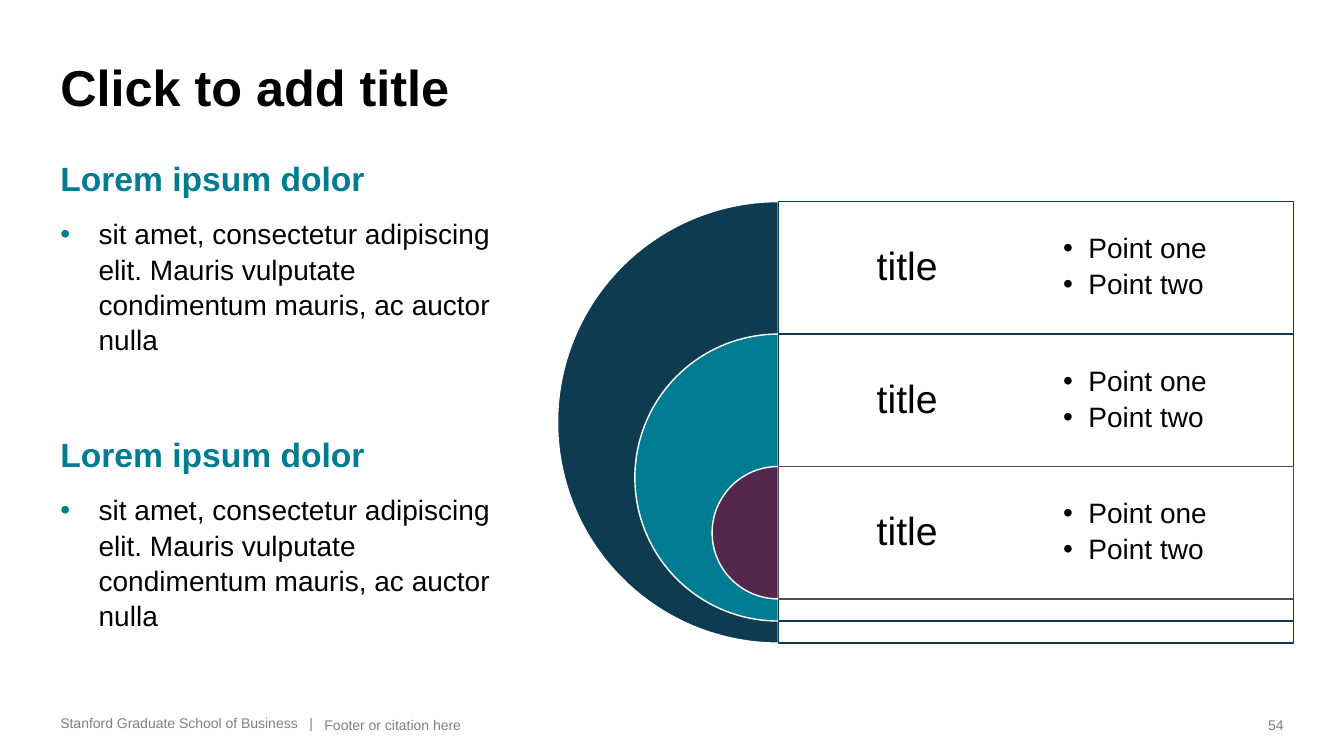
from lxml import etree
from pptx import Presentation
from pptx.dml.color import RGBColor
from pptx.enum.shapes import MSO_SHAPE as Shape
from pptx.enum.text import MSO_ANCHOR as Anchor, PP_ALIGN as Align
from pptx.oxml.ns import qn
from pptx.util import Inches, Pt

WHITE = RGBColor(0xFF, 0xFF, 0xFF)
BLACK = RGBColor(0x00, 0x00, 0x00)
GRAY = RGBColor(0x80, 0x80, 0x80)
CHARCOAL = RGBColor(0x4D, 0x4F, 0x53)
NAVY = RGBColor(0x0E, 0x3B, 0x50)
TEAL = RGBColor(0x00, 0x7C, 0x92)
PLUM = RGBColor(0x53, 0x28, 0x4F)

HEADING = "Lorem ipsum dolor"
DETAIL = ("sit amet, consectetur adipiscing elit. Mauris vulputate "
          "condimentum mauris, ac auctor nulla")
RINGS = [(1, NAVY, NAVY), (0.65, TEAL, NAVY), (0.3, PLUM, CHARCOAL)]
ROW_SHARE = 0.3


def format_paragraph(paragraph, size, color, bold=False, align=Align.LEFT):
    paragraph.alignment = align
    for run in paragraph.runs:
        run.font.name = "Arial"
        run.font.size = Pt(size)
        run.font.bold = bold
        run.font.color.rgb = color


def add_bullet(paragraph, indent, color):
    properties = paragraph._p.get_or_add_pPr()
    properties.set("marL", str(Inches(indent)))
    properties.set("indent", str(-Inches(indent)))
    bullet_color = etree.SubElement(properties, qn("a:buClr"))
    etree.SubElement(bullet_color, qn("a:srgbClr"), val=str(color))
    etree.SubElement(properties, qn("a:buFont"), typeface="Arial")
    etree.SubElement(properties, qn("a:buChar"), char="•")


def add_text(slide, box, text, anchor=Anchor.TOP, inset=None, wrap=True):
    frame = slide.shapes.add_textbox(*map(Inches, box)).text_frame
    frame.word_wrap = wrap
    frame.vertical_anchor = anchor
    if inset is not None:
        frame.margin_left = frame.margin_right = Inches(inset)
        frame.margin_top = frame.margin_bottom = Inches(inset)
    frame.text = text
    return frame.paragraphs


def add_ring_shape(slide, kind, box, fill, line):
    shape = slide.shapes.add_shape(kind, *map(Inches, box))
    shape.shadow.inherit = False
    shape.fill.solid()
    shape.fill.fore_color.rgb = fill
    shape.line.color.rgb = line
    shape.line.width = Pt(1)
    return shape


def add_title(slide, box):
    paragraph, = add_text(slide, box, "Click to add title", Anchor.BOTTOM)
    format_paragraph(paragraph, 36, BLACK, bold=True)


def add_body(slide, box):
    paragraphs = add_text(slide, box, "\n".join([HEADING, DETAIL] * 2))
    for index, paragraph in enumerate(paragraphs):
        paragraph.line_spacing = 1.05
        if index % 2:
            paragraph.space_before = Pt(12)
            add_bullet(paragraph, 0.38, TEAL)
            format_paragraph(paragraph, 20, BLACK)
        else:
            paragraph.space_before = Pt(54 if index else 0)
            format_paragraph(paragraph, 24, TEAL, bold=True)


def add_target_list(slide, box):
    left, top, width, height = box
    center = left + height / 2
    panel_width = width - height / 2
    row_height = height * ROW_SHARE
    column_width = panel_width / 2
    for index, (share, fill, outline) in enumerate(RINGS):
        row_top = top + index * row_height
        diameter = height * share
        pie = add_ring_shape(
            slide, Shape.PIE,
            (center - diameter / 2, row_top, diameter, diameter), fill, WHITE)
        pie.adjustments[0] = 54
        pie.adjustments[1] = 162

        panel = add_ring_shape(
            slide, Shape.RECTANGLE,
            (center, row_top, panel_width, diameter), WHITE, outline)
        panel_color = panel._element.spPr.find(qn("a:solidFill"))[0]
        etree.SubElement(panel_color, qn("a:alpha"), val="90000")

        label, = add_text(slide, (center, row_top, column_width, row_height),
                          "title", Anchor.MIDDLE, 0.12)
        label.line_spacing = 0.9
        format_paragraph(label, 28, BLACK, align=Align.CENTER)

        points = add_text(
            slide, (center + column_width, row_top, column_width, row_height),
            "Point one\nPoint two", Anchor.MIDDLE, 0.27)
        for point in points:
            point.line_spacing = 0.9
            point.space_after = Pt(4)
            add_bullet(point, 0.25, BLACK)
            format_paragraph(point, 20, BLACK)


def add_footer(slide, box):
    left, top, width, height = box
    right = left + width
    parts = [
        ("Stanford Graduate School of Business   |", left, 2.72, 0.27, Align.LEFT),
        ("Footer or citation here", left + 2.62, 9.17, height, Align.LEFT),
        ("54", right - 0.39, 0.39, height, Align.RIGHT),
    ]
    for text, part_left, part_width, part_height, align in parts:
        paragraph, = add_text(
            slide, (part_left, top, part_width, part_height), text,
            Anchor.BOTTOM, wrap=part_width > 3)
        format_paragraph(paragraph, 10, GRAY, align=align)


def main():
    presentation = Presentation()
    presentation.slide_width = Inches(13.33)
    presentation.slide_height = Inches(7.5)
    slide = presentation.slides.add_slide(presentation.slide_layouts[6])
    add_title(slide, (0.5, 0.5, 12.33, 0.71))
    add_body(slide, (0.5, 1.5, 4.48, 5.38))
    add_target_list(slide, (5.53, 2, 7.3, 4.38))
    add_footer(slide, (0.5, 7.03, 12.33, 0.29))
    presentation.save("out.pptx")


if __name__ == "__main__":
    main()
